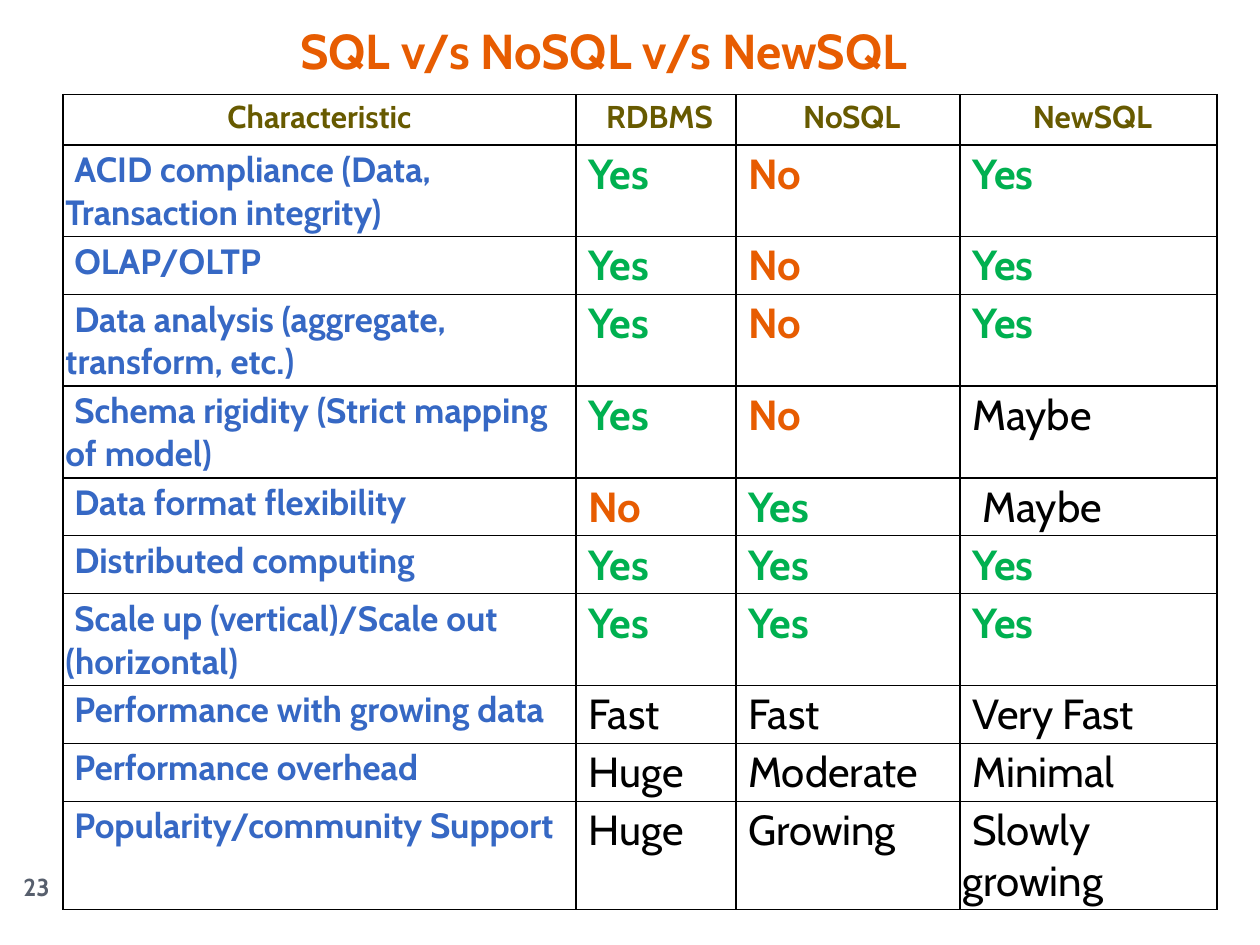
import pptx
import pptx.dml.color
import pptx.enum.text
import pptx.oxml
import pptx.oxml.ns
import pptx.util
from pptx.util import Inches

COLORS = {
    "title": "E75C01",
    "header": "675A00",
    "label": "3668C4",
    "yes": "00B050",
    "no": "E75C01",
    "plain": "000000",
    "number": "575F6D",
    "border": "000000",
}
FONT = "Cabin"
ALIGN = pptx.enum.text.PP_ALIGN
MIDDLE = pptx.enum.text.MSO_ANCHOR.MIDDLE

COLUMN_WIDTHS = [4.07, 1.27, 1.78, 2.04]
HEADERS = ["Characteristic", "RDBMS", "NoSQL", "NewSQL"]
# Row height, characteristic, then one answer for each kind of database
ROWS = [
    (0.71, "ACID compliance (Data, Transaction integrity)", "Yes", "No", "Yes"),
    (0.4, "OLAP/OLTP", "Yes", "No", "Yes"),
    (0.5, "Data analysis (aggregate, transform, etc.)", "Yes", "No", "Yes"),
    (0.42, "Schema rigidity (Strict mapping of model)", "Yes", "No", "Maybe"),
    (0.4, "Data format flexibility", "No", "Yes", "Maybe"),
    (0.4, "Distributed computing", "Yes", "Yes", "Yes"),
    (0.54, "Scale up (vertical)/Scale out (horizontal)", "Yes", "Yes", "Yes"),
    (0.42, "Performance with growing data", "Fast", "Fast", "Very Fast"),
    (0.4, "Performance overhead", "Huge", "Moderate", "Minimal"),
    (0.52, "Popularity/community Support", "Huge", "Growing", "Slowly growing"),
]
HEADER_HEIGHT = 0.4


def write_text(frame, text, *, size, color, bold=True, align=ALIGN.LEFT, indent=0):
    """Fill a text frame with one paragraph; indent is for its first line, in inches."""
    frame.word_wrap = True
    para = frame.paragraphs[0]
    para.alignment = align
    if indent:
        properties = para._p.get_or_add_pPr()
        properties.set("marL", "0")
        properties.set("indent", str(Inches(indent)))
    span = para.add_run()
    span.text = text
    span.font.name = FONT
    span.font.size = pptx.util.Pt(size)
    span.font.bold = bold
    span.font.color.rgb = pptx.dml.color.RGBColor.from_string(COLORS[color])


def add_centred_text(page, box, text, **text_format):
    shape = page.shapes.add_textbox(*map(Inches, box))
    shape.text_frame.vertical_anchor = MIDDLE
    write_text(shape.text_frame, text, align=ALIGN.CENTER, **text_format)


def style_cell(cell):
    """Set narrow margins, no fill and a thin border on all sides."""
    cell.margin_left = cell.margin_right = Inches(0.02)
    cell.margin_top = cell.margin_bottom = Inches(0.03)
    properties = cell._tc.get_or_add_tcPr()
    for side in ("lnL", "lnR", "lnT", "lnB"):
        properties.append(pptx.oxml.parse_xml(
            f'<a:{side} {pptx.oxml.ns.nsdecls("a")} w="12700"><a:solidFill>'
            f'<a:srgbClr val="{COLORS["border"]}"/></a:solidFill></a:{side}>'
        ))
    cell.fill.background()


def add_comparison_table(page, box):
    frame = page.shapes.add_table(len(ROWS) + 1, len(HEADERS), *map(Inches, box))
    table = frame.table
    table.first_row = table.horz_banding = False
    for column, width in zip(table.columns, COLUMN_WIDTHS):
        column.width = Inches(width)
    heights = [HEADER_HEIGHT] + [row[0] for row in ROWS]
    for row, height in zip(table.rows, heights):
        row.height = Inches(height)
    for cell in table.iter_cells():
        style_cell(cell)

    for index, header in enumerate(HEADERS):
        write_text(table.cell(0, index).text_frame, header, size=18, color="header",
                   align=ALIGN.CENTER, indent=0.06 if index else 0)
    for number, (_, label, *answers) in enumerate(ROWS, start=1):
        write_text(table.cell(number, 0).text_frame, label, size=20, color="label",
                   indent=0.07)
        for index, answer in enumerate(answers, start=1):
            decided = answer in ("Yes", "No")
            # The answer on format flexibility stands one space further in
            further = label == "Data format flexibility" and answer == "Maybe"
            write_text(table.cell(number, index).text_frame, answer, size=24,
                       color=answer.lower() if decided else "plain", bold=decided,
                       indent=0.16 if further else 0.08)


def main():
    deck = pptx.Presentation()
    deck.slide_width, deck.slide_height = Inches(10), Inches(7.5)
    page = deck.slides.add_slide(deck.slide_layouts[6])
    add_centred_text(page, (0, 6.83, 0.58, 0.42), "23", size=14, color="number")
    add_comparison_table(page, (0.5, 0.75, 9.17, 6.52))
    add_centred_text(page, (0.33, -0.08, 8.92, 0.95), "SQL v/s NoSQL v/s NewSQL",
                     size=28, color="title")
    deck.save("out.pptx")


if __name__ == "__main__":
    main()
